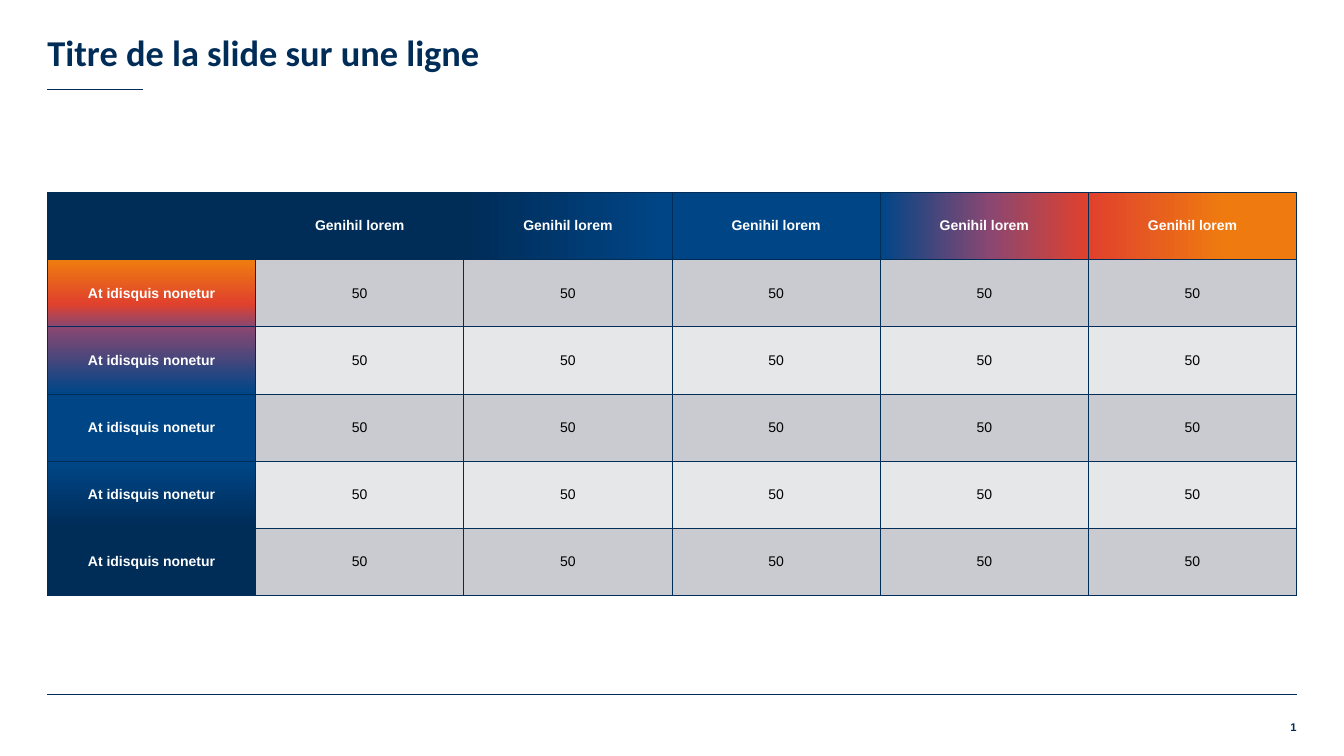
from lxml import etree
from pptx import Presentation, util as u
from pptx.dml.color import RGBColor
from pptx.enum import shapes, text
from pptx.oxml.ns import qn

# Content
TITLE = "Titre de la slide sur une ligne"
PAGE = "1"
COLUMNS = [""] + ["Genihil lorem"] * 5
ROWS = [["At idisquis nonetur"] + ["50"] * 5 for _ in range(5)]

# Colours; a gradient is an angle and its (percent, colour) stops
NAVY, BLUE, PLUM, RED, ORANGE = "002C58", "004687", "8B4771", "E0412D", "EF7B10"
WHITE, BLACK = "FFFFFF", "000000"
BANDS = ["CACBD0", "E6E7E9"]
HEADER_FILLS = [
    NAVY,
    NAVY,
    (0, [(0, NAVY), (100, BLUE)]),
    BLUE,
    (0, [(0, BLUE), (53, PLUM), (100, RED)]),
    (0, [(0, RED), (66, ORANGE), (100, ORANGE)]),
]
LABEL_FILLS = [
    (270, [(0, PLUM), (1, PLUM), (34, RED), (98, ORANGE), (100, ORANGE)]),
    (270, [(0, BLUE), (2, BLUE), (100, PLUM)]),
    BLUE,
    (270, [(0, NAVY), (2, NAVY), (100, BLUE)]),
    NAVY,
]

# Layout in inches
WIDTH, HEIGHT = 13.33, 7.5
LEFT, CONTENT_W = 0.47, 12.39
TABLE_TOP, TABLE_H = 1.91, 4.0
TITLE_H = 0.73
RULES = [(0.89, 0.95), (6.89, CONTENT_W)]  # top, length
PAGE_W, PAGE_H, PAGE_TOP = 0.39, 0.2, 7.15
LINE_W = 0.75


def rgb(value):
    return RGBColor.from_string(value)


def write(tf, words, align, anchor, inset, **font):
    p = tf.paragraphs[0]
    p.alignment = align
    tf.word_wrap = True
    tf.vertical_anchor = anchor
    for side in ("left", "right", "top", "bottom"):
        setattr(tf, f"margin_{side}", u.Inches(inset))
    r = p.add_run()
    r.text = words
    color = font.pop("color")
    for name, value in font.items():
        setattr(r.font, name, value)
    r.font.color.rgb = rgb(color)


def add_color(parent, value):
    etree.SubElement(parent, qn("a:srgbClr"), val=value)


def set_borders(cell):
    props = cell._tc.get_or_add_tcPr()
    for side in ("L", "R", "T", "B"):
        line = etree.SubElement(props, qn(f"a:ln{side}"), w=str(u.Pt(LINE_W)))
        add_color(etree.SubElement(line, qn("a:solidFill")), NAVY)


def set_fill(cell, fill):
    if isinstance(fill, str):
        cell.fill.solid()
        cell.fill.fore_color.rgb = rgb(fill)
        return
    angle, stops = fill
    grad = etree.SubElement(cell._tc.get_or_add_tcPr(), qn("a:gradFill"), rotWithShape="1")
    stop_list = etree.SubElement(grad, qn("a:gsLst"))
    for percent, color in stops:
        add_color(etree.SubElement(stop_list, qn("a:gs"), pos=str(percent * 1000)), color)
    etree.SubElement(grad, qn("a:lin"), ang=str(angle * 60000), scaled="0")


def add_rule(s, top, length):
    sp = s.shapes.add_connector(
        shapes.MSO_CONNECTOR.STRAIGHT,
        u.Inches(LEFT), u.Inches(top), u.Inches(LEFT + length), u.Inches(top))
    sp.line.color.rgb = rgb(NAVY)
    sp.line.width = u.Pt(LINE_W)
    etree.SubElement(sp._element.spPr, qn("a:effectLst"))


def add_grid(s):
    cells = [COLUMNS] + ROWS
    table = s.shapes.add_table(
        len(cells), len(COLUMNS), u.Inches(LEFT), u.Inches(TABLE_TOP),
        u.Inches(CONTENT_W), u.Inches(TABLE_H)).table
    for i, row in enumerate(cells):
        for j, words in enumerate(row):
            cell = table.cell(i, j)
            heading = i == 0 or j == 0
            if i == 0:
                fill = HEADER_FILLS[j]
            elif j == 0:
                fill = LABEL_FILLS[i - 1]
            else:
                fill = BANDS[(i - 1) % 2]
            set_borders(cell)
            set_fill(cell, fill)
            cell.vertical_anchor = text.MSO_ANCHOR.MIDDLE
            p = cell.text_frame.paragraphs[0]
            p.alignment = text.PP_ALIGN.CENTER
            if words:
                r = p.add_run()
                r.text = words
                style = {"name": "Arial", "size": u.Pt(10), "bold": heading}
                for name, value in style.items():
                    setattr(r.font, name, value)
                r.font.color.rgb = rgb(WHITE if heading else BLACK)


def main():
    prs = Presentation()
    prs.slide_width, prs.slide_height = u.Inches(WIDTH), u.Inches(HEIGHT)
    s = prs.slides.add_slide(prs.slide_layouts[5])

    # Rules under the title and above the footer
    for top, length in RULES:
        add_rule(s, top, length)

    # Page number, flush with the right edge of the content
    sp = s.shapes.add_textbox(
        u.Inches(LEFT + CONTENT_W - PAGE_W), u.Inches(PAGE_TOP),
        u.Inches(PAGE_W), u.Inches(PAGE_H))
    write(sp.text_frame, PAGE, text.PP_ALIGN.RIGHT, text.MSO_ANCHOR.TOP, 0,
          name="Arial", size=u.Pt(8), bold=True, color=NAVY)

    # Table
    add_grid(s)

    # Title
    title = s.shapes.title
    title.left, title.top = u.Inches(LEFT), u.Inches(0)
    title.width, title.height = u.Inches(CONTENT_W), u.Inches(TITLE_H)
    title.text_frame.auto_size = text.MSO_AUTO_SIZE.NONE
    write(title.text_frame, TITLE, text.PP_ALIGN.LEFT, text.MSO_ANCHOR.BOTTOM, 0,
          name="Calibri", size=u.Pt(26), bold=True, color=NAVY)

    prs.save("out.pptx")


if __name__ == "__main__":
    main()
